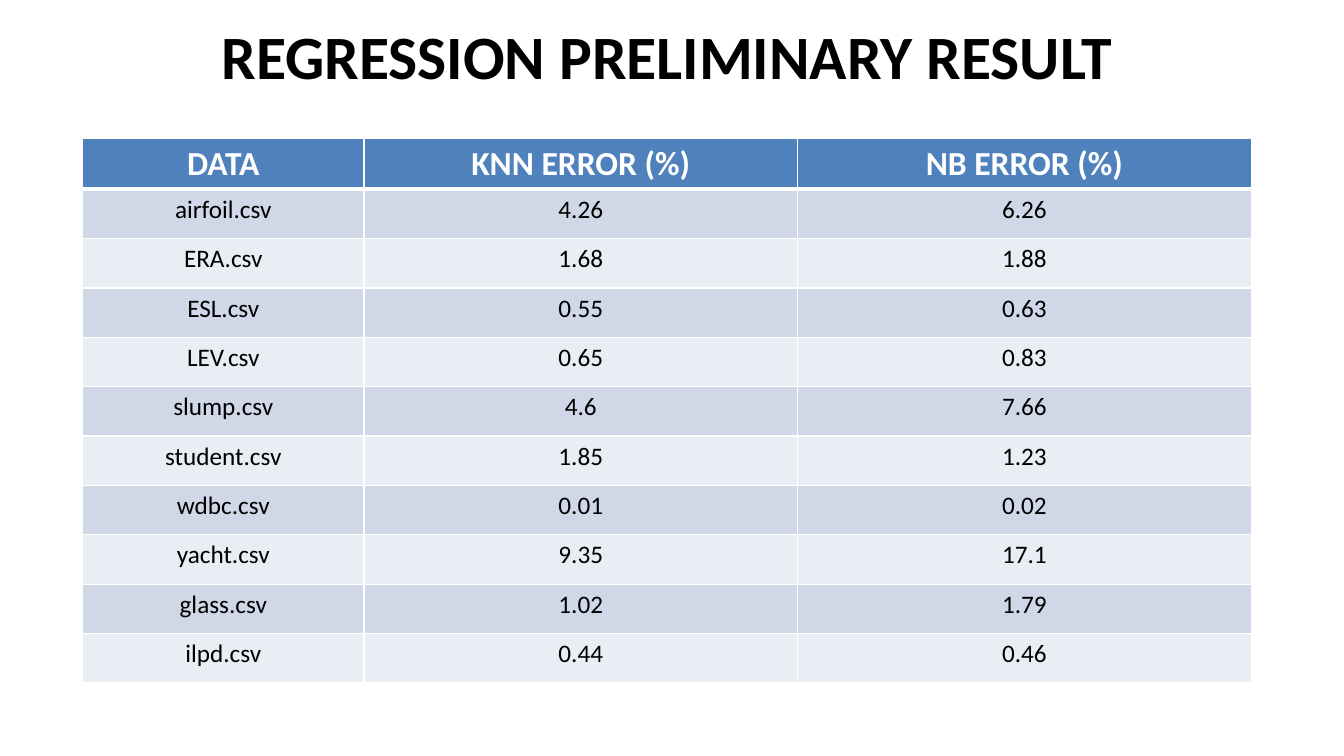
from lxml import etree
from pptx import Presentation
from pptx import util as u
from pptx.dml.color import RGBColor
from pptx.enum import text
from pptx.oxml import ns

BLACK = RGBColor(0x00, 0x00, 0x00)
WHITE = RGBColor(0xFF, 0xFF, 0xFF)
HEADER_BLUE = RGBColor(0x4F, 0x81, 0xBD)
BAND_DARK = RGBColor(0xD0, 0xD8, 0xE8)
BAND_LIGHT = RGBColor(0xE9, 0xED, 0xF4)

TITLE_FORMAT = {"name": "Calibri", "size": u.Pt(44), "bold": True}
HEADER_FORMAT = {"name": "Calibri", "size": u.Pt(24), "bold": True}
BODY_FORMAT = {"name": "Calibri", "size": u.Pt(18), "bold": False}

LEFT, WIDTH = u.Inches(0.82), u.Inches(11.6)
COLUMN_WIDTHS = [2.79, 4.3, 4.5]
HEADER_HEIGHT, ROW_HEIGHT = 0.5, 0.49
RESULTS = [
    ("DATA", "KNN ERROR (%)", "NB ERROR (%)"),
    ("airfoil.csv", "4.26", "6.26"),
    ("ERA.csv", "1.68", "1.88"),
    ("ESL.csv", "0.55", "0.63"),
    ("LEV.csv", "0.65", "0.83"),
    ("slump.csv", "4.6", "7.66"),
    ("student.csv", "1.85", "1.23"),
    ("wdbc.csv", "0.01", "0.02"),
    ("yacht.csv", "9.35", "17.1"),
    ("glass.csv", "1.02", "1.79"),
    ("ilpd.csv", "0.44", "0.46"),
]


def write_centred(frame, words, font_format, color):
    """Put one centred, formatted line of text into a text frame."""
    para = frame.paragraphs[0]
    para.alignment = text.PP_ALIGN.CENTER
    span = para.add_run()
    span.text = words
    for name, value in font_format.items():
        setattr(span.font, name, value)
    span.font.color.rgb = color


def add_borders(cell, top, bottom):
    """Draw white borders, with top and bottom widths in points."""
    properties = cell._tc.get_or_add_tcPr()
    widths = {"lnL": 1, "lnR": 1, "lnT": top, "lnB": bottom}
    for index, (side, width) in enumerate(widths.items()):
        line = etree.Element(ns.qn(f"a:{side}"), w=str(u.Pt(width)))
        fill = etree.SubElement(line, ns.qn("a:solidFill"))
        etree.SubElement(fill, ns.qn("a:srgbClr"), val=str(WHITE))
        properties.insert(index, line)


deck = Presentation()
deck.slide_width, deck.slide_height = u.Inches(13.33), u.Inches(7.5)
page = deck.slides.add_slide(deck.slide_layouts[5])

title = page.shapes.title
title.left, title.top, title.width, title.height = LEFT, 0, WIDTH, u.Inches(1.08)
title.text_frame.vertical_anchor = text.MSO_ANCHOR.MIDDLE
write_centred(title.text_frame, "REGRESSION PRELIMINARY RESULT", TITLE_FORMAT, BLACK)

table = page.shapes.add_table(
    len(RESULTS), len(COLUMN_WIDTHS), LEFT, u.Inches(1.37), WIDTH, u.Inches(5.43)
).table
for column, width in zip(table.columns, COLUMN_WIDTHS):
    column.width = u.Inches(width)

for row_index, values in enumerate(RESULTS):
    is_header = row_index == 0
    band = BAND_DARK if row_index % 2 else BAND_LIGHT
    table.rows[row_index].height = u.Inches(HEADER_HEIGHT if is_header else ROW_HEIGHT)
    for column_index, value in enumerate(values):
        cell = table.cell(row_index, column_index)
        cell.fill.solid()
        cell.fill.fore_color.rgb = HEADER_BLUE if is_header else band
        add_borders(cell, top=3 if row_index == 1 else 1, bottom=3 if is_header else 1)
        write_centred(
            cell.text_frame,
            value,
            HEADER_FORMAT if is_header else BODY_FORMAT,
            WHITE if is_header else BLACK,
        )

deck.save("out.pptx")
